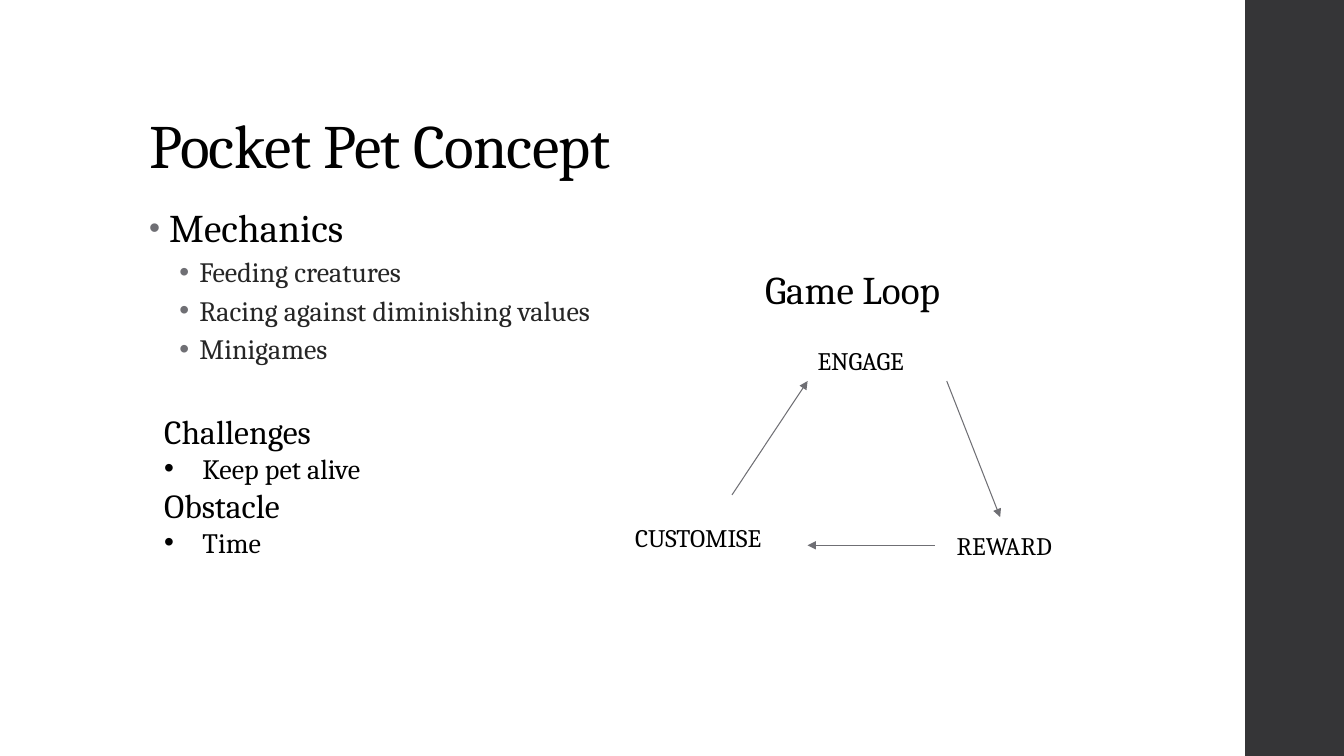
from dataclasses import dataclass, field

from lxml import etree
from pptx import Presentation
from pptx import util as u
from pptx.dml.color import RGBColor
from pptx.enum import shapes, text
from pptx.oxml import ns

BLACK = RGBColor(0x00, 0x00, 0x00)
INK = RGBColor(0x26, 0x26, 0x26)
GREY = RGBColor(0x6F, 0x6F, 0x74)
CHARCOAL = RGBColor(0x35, 0x35, 0x37)
FONT = "Cambria"


@dataclass
class Line:
    words: str
    size: float
    color: RGBColor = BLACK
    tracking: int = 0  # hundredths of a point
    indent: float = 0  # left margin in inches
    hang: float = 0  # room for the bullet; 0 means no bullet
    bullet_color: RGBColor = BLACK
    bullet_percent: int = 100
    layout: dict = field(default_factory=dict)


@dataclass
class Block:
    left: float
    top: float
    width: float
    height: float
    lines: list[Line]
    anchor: text.MSO_ANCHOR = text.MSO_ANCHOR.TOP
    fit: text.MSO_AUTO_SIZE = text.MSO_AUTO_SIZE.SHAPE_TO_FIT_TEXT


@dataclass
class Arrow:
    start: tuple[float, float]
    end: tuple[float, float]


def set_values(target, values: dict) -> None:
    for name, value in values.items():
        setattr(target, name, value)


def add_bullet(para, line: Line) -> None:
    properties = para._p.get_or_add_pPr()
    properties.set("marL", str(u.Inches(line.indent)))
    properties.set("indent", str(-u.Inches(line.hang)))
    color = etree.SubElement(properties, ns.qn("a:buClr"))
    etree.SubElement(color, ns.qn("a:srgbClr"), val=str(line.bullet_color))
    etree.SubElement(properties, ns.qn("a:buSzPct"), val=str(line.bullet_percent * 1000))
    etree.SubElement(properties, ns.qn("a:buFont"), typeface="Arial")
    etree.SubElement(properties, ns.qn("a:buChar"), char="•")


def add_block(page, block: Block) -> None:
    place = map(u.Inches, (block.left, block.top, block.width, block.height))
    frame = page.shapes.add_textbox(*place).text_frame
    set_values(frame, {"word_wrap": True, "auto_size": block.fit, "vertical_anchor": block.anchor})
    for number, line in enumerate(block.lines):
        para = frame.add_paragraph() if number else frame.paragraphs[0]
        set_values(para, line.layout)
        if line.hang:
            add_bullet(para, line)
        span = para.add_run()
        span.text = line.words
        set_values(span.font, {"name": FONT, "size": u.Pt(line.size)})
        span.font.color.rgb = line.color
        if line.tracking:
            span._r.get_or_add_rPr().set("spc", str(line.tracking))


def add_arrow(page, arrow: Arrow) -> None:
    ends = map(u.Inches, (*arrow.start, *arrow.end))
    connector = page.shapes.add_connector(shapes.MSO_CONNECTOR.STRAIGHT, *ends)
    connector.line.color.rgb = GREY
    connector.line.width = u.Pt(0.75)
    etree.SubElement(connector.line._get_or_add_ln(), ns.qn("a:tailEnd"), type="triangle")
    etree.SubElement(connector._element.spPr, ns.qn("a:effectLst"))


def add_side_band(page) -> None:
    place = map(u.Inches, (12.35, 0, 1, 7.5))
    band = page.shapes.add_shape(shapes.MSO_SHAPE.RECTANGLE, *place)
    band.shadow.inherit = False
    band.fill.solid()
    band.fill.fore_color.rgb = CHARCOAL
    band.line.fill.background()


def mechanic(words: str) -> Line:
    layout = {"level": 1, "line_spacing": 0.9, "space_before": u.Pt(3), "space_after": u.Pt(3)}
    return Line(words, 20, INK, indent=0.5, hang=0.2, bullet_color=GREY, layout=layout)


def detail(words: str) -> Line:
    return Line(words, 20, indent=0.38, hang=0.38)


def loop_step(words: str, left: float, top: float, width: float = 1.39) -> Block:
    return Block(left, top, width, 0.4, [Line(words, 18)])


NO_FIT = text.MSO_AUTO_SIZE.NONE
MECHANICS_LAYOUT = {"line_spacing": 0.95, "space_before": u.Pt(14), "space_after": u.Pt(2)}

BLOCKS = [
    # Title
    Block(1.38, 0.4, 10.6, 1.45,
          [Line("Pocket Pet Concept", 44, tracking=-50, layout={"line_spacing": 0.9})],
          text.MSO_ANCHOR.BOTTOM, NO_FIT),
    # Mechanics list
    Block(1.38, 2, 9.4, 4.76,
          [Line("Mechanics", 28, tracking=10, indent=0.2, hang=0.2, bullet_color=GREY,
                bullet_percent=80, layout=MECHANICS_LAYOUT),
           mechanic("Feeding creatures"),
           mechanic("Racing against diminishing values"),
           mechanic("Minigames")],
          fit=NO_FIT),
    # Game loop
    loop_step("ENGAGE", 8.01, 3.38),
    loop_step("REWARD", 9.39, 5.21),
    loop_step("CUSTOMISE", 6.2, 5.13, 1.81),
    Block(7.49, 2.58, 2.85, 0.57, [Line("Game Loop", 28)]),
    # Challenges and obstacle
    Block(1.53, 4.03, 5.44, 1.58,
          [Line("Challenges", 24), detail("Keep pet alive"),
           Line("Obstacle", 24), detail("Time")]),
]

LOOP_ARROWS = [
    Arrow((9.39, 3.78), (9.92, 5.13)),
    Arrow((9.27, 5.41), (8.01, 5.41)),
    Arrow((7.26, 4.91), (8.01, 3.78)),
]


def main() -> None:
    deck = Presentation()
    set_values(deck, {"slide_width": u.Inches(13.33), "slide_height": u.Inches(7.5)})
    page = deck.slides.add_slide(deck.slide_layouts[6])
    add_side_band(page)
    for block in BLOCKS:
        add_block(page, block)
    for arrow in LOOP_ARROWS:
        add_arrow(page, arrow)
    deck.save("out.pptx")


if __name__ == "__main__":
    main()
